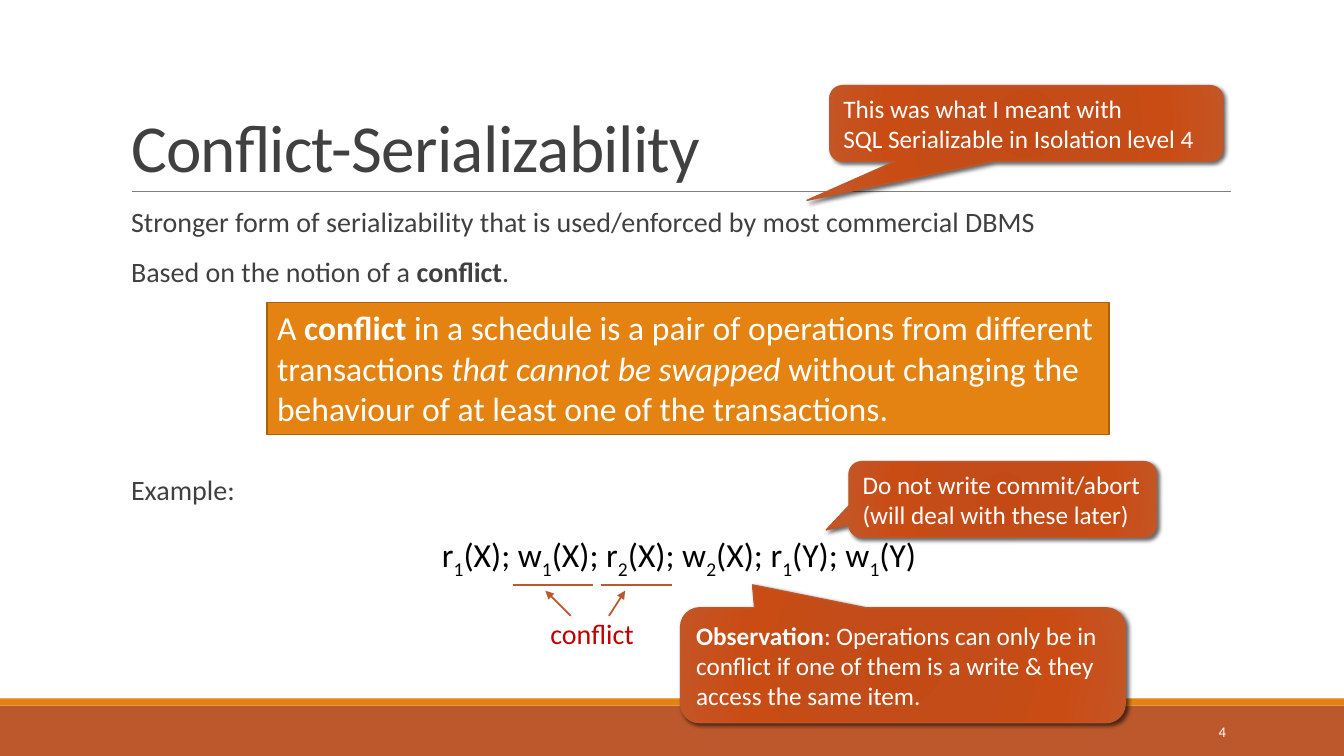
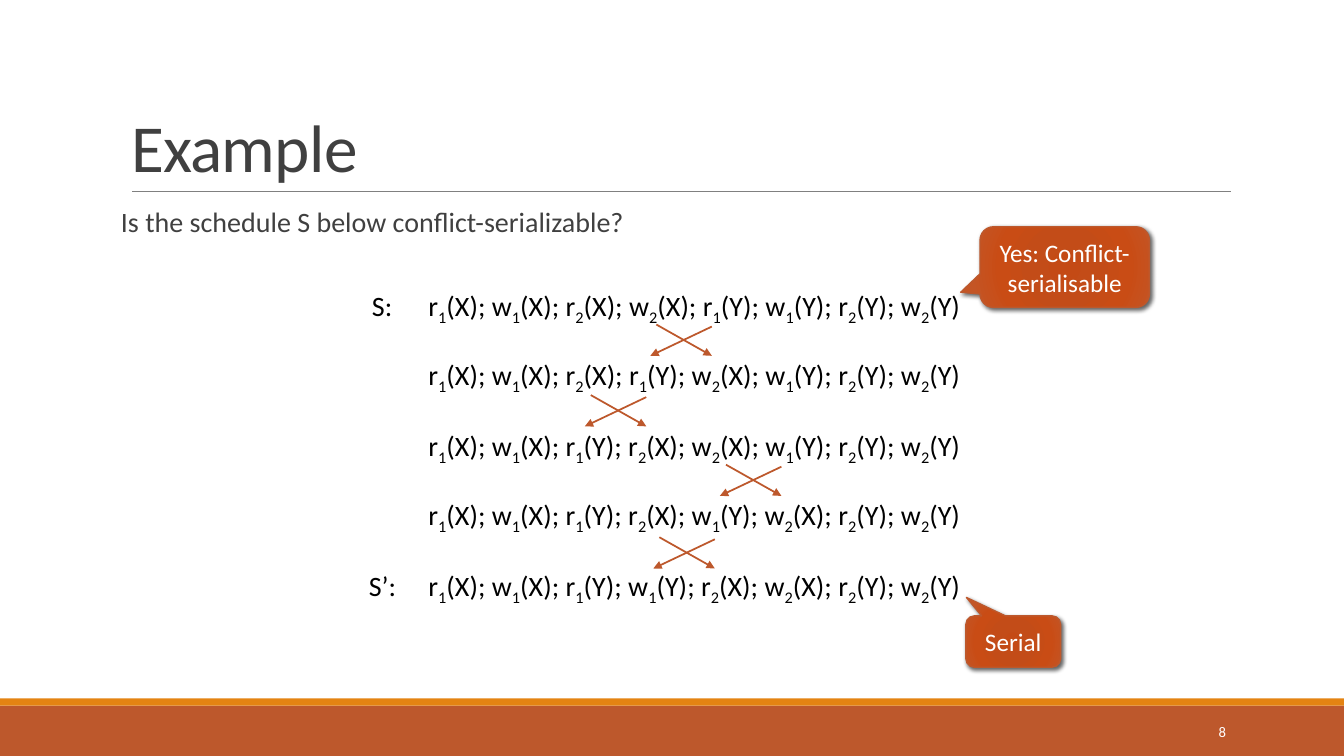
from dataclasses import dataclass
from itertools import groupby
from typing import NamedTuple

from lxml.etree import SubElement
from pptx import Presentation
from pptx.dml.color import RGBColor
from pptx.enum.shapes import MSO_CONNECTOR, MSO_SHAPE
from pptx.enum.text import MSO_ANCHOR, MSO_AUTO_SIZE, PP_ALIGN
from pptx.oxml import parse_xml
from pptx.oxml.ns import nsdecls, qn
from pptx.util import Emu, Pt

PX = 9144  # EMU in one px, 100 px to the inch


@dataclass(frozen=True)
class Theme:
    font: str = "Calibri"
    rust: str = "BD582C"
    orange: str = "E48312"
    orange_edge: str = "A9610D"
    rule: str = "808080"
    ink: str = "404040"
    black: str = "000000"
    white: str = "FFFFFF"
    red: str = "C00000"
    gradient: tuple[tuple[int, str], ...] = (
        (0, "C44A15"), (34, "C34C18"), (70, "C94C15"), (100, "C45525"))
    title: float = 48
    large: float = 24
    body: float = 20
    callout: float = 18
    number: float = 10.5


THEME = Theme()


class Box(NamedTuple):
    left: int
    top: int
    width: int
    height: int


class Span(NamedTuple):
    text: str
    bold: bool = False
    italic: bool = False


class Line(NamedTuple):
    spans: tuple[Span, ...]
    indent: int = 0
    before: int = 0


class Callout(NamedTuple):
    box: Box
    tip: tuple[float, float]
    spans: tuple[Span, ...]
    align: PP_ALIGN = PP_ALIGN.LEFT


BREAK = Span("\n")
SLIDE = Box(0, 0, 1333, 750)
TITLE = Box(120, 31, 1100, 159)
BODY = Box(120, 202, 1100, 440)
NUMBER = Box(1083, 706, 143, 40)


# Text and shape helpers
def emu(*lengths: int) -> list[Emu]:
    return [Emu(length * PX) for length in lengths]


def rgb(color: str) -> RGBColor:
    return RGBColor.from_string(color)


def set_font(paragraph, size: float, color: str) -> None:
    paragraph.font.name = THEME.font
    paragraph.font.size = Pt(size)
    paragraph.font.color.rgb = rgb(color)


def add_spans(paragraph, spans: tuple[Span, ...]) -> None:
    for span in spans:
        if span == BREAK:
            paragraph.add_line_break()
            continue
        run = paragraph.add_run()
        run.text = span.text
        if span.bold:
            run.font.bold = True
        if span.italic:
            run.font.italic = True


def fill_frame(shape, spans: tuple[Span, ...], size: float, color: str,
               align: PP_ALIGN, anchor: MSO_ANCHOR, wrap: bool = True):
    frame = shape.text_frame
    frame.word_wrap = wrap
    frame.auto_size = MSO_AUTO_SIZE.NONE
    frame.vertical_anchor = anchor
    paragraph = frame.paragraphs[0]
    paragraph.alignment = align
    set_font(paragraph, size, color)
    add_spans(paragraph, spans)
    return paragraph


def add_label(page, box: Box, text: str, size: float, color: str = THEME.black,
              align: PP_ALIGN = PP_ALIGN.LEFT) -> None:
    shape = page.shapes.add_textbox(*emu(*box))
    fill_frame(shape, (Span(text),), size, color, align, MSO_ANCHOR.TOP, wrap=False)


def add_panel(page, box: Box, fill: str, edge: str = ""):
    shape = page.shapes.add_shape(MSO_SHAPE.RECTANGLE, *emu(*box))
    shape.shadow.inherit = False
    shape.fill.solid()
    shape.fill.fore_color.rgb = rgb(fill)
    if edge:
        shape.line.color.rgb = rgb(edge)
        shape.line.width = Pt(1.25)
    else:
        shape.line.fill.background()
    return shape


def add_line(page, start: tuple[int, int], end: tuple[int, int], color: str = THEME.rust,
             width: float = 1.25, arrow: bool = False) -> None:
    line = page.shapes.add_connector(MSO_CONNECTOR.STRAIGHT, *emu(*start, *end))
    line.line.color.rgb = rgb(color)
    line.line.width = Pt(width)
    properties = line.element.spPr
    if arrow:
        SubElement(properties.find(qn("a:ln")), qn("a:tailEnd"), type="triangle")
    SubElement(properties, qn("a:effectLst"))


def add_callout(page, callout: Callout) -> None:
    shape = page.shapes.add_shape(MSO_SHAPE.ROUNDED_RECTANGULAR_CALLOUT, *emu(*callout.box))
    for index, value in enumerate((*callout.tip, 0.167)):
        shape.adjustments[index] = value
    shape.line.color.rgb = rgb(THEME.rust)
    shape.line.width = Pt(1)
    # Circular gradient
    shape.fill.background()
    properties = shape.element.spPr
    stops = "".join(f'<a:gs pos="{place * 1000}"><a:srgbClr val="{color}"/></a:gs>'
                    for place, color in THEME.gradient)
    gradient = parse_xml(
        f'<a:gradFill {nsdecls("a")} rotWithShape="1"><a:gsLst>{stops}</a:gsLst>'
        '<a:path path="circle"><a:fillToRect l="100000" t="100000" r="100000" b="100000"/>'
        '</a:path></a:gradFill>')
    properties.replace(properties.find(qn("a:noFill")), gradient)
    # Soft shadow
    shape.shadow.inherit = False
    properties.find(qn("a:effectLst")).append(parse_xml(
        f'<a:outerShdw {nsdecls("a")} blurRad="{Pt(3)}" dist="{Pt(2)}" dir="2700000" '
        f'algn="tl" rotWithShape="0"><a:srgbClr val="{THEME.black}"><a:alpha val="60000"/>'
        '</a:srgbClr></a:outerShdw>'))
    fill_frame(shape, callout.spans, THEME.callout, THEME.white, callout.align,
               MSO_ANCHOR.MIDDLE)


def add_schedule(page, box: Box, schedule: str, size: float) -> None:
    """Write a schedule with its transaction numbers as subscripts."""
    shape = page.shapes.add_textbox(*emu(*box))
    paragraph = fill_frame(shape, (), size, THEME.black, PP_ALIGN.CENTER,
                           MSO_ANCHOR.TOP, wrap=False)
    for is_number, characters in groupby(schedule, str.isdigit):
        run = paragraph.add_run()
        run.text = "".join(characters)
        if is_number:
            run.font._element.set("baseline", "-25000")


def add_body(page, lines: tuple[Line, ...]) -> None:
    frame = page.shapes.add_textbox(*emu(*BODY)).text_frame
    frame.word_wrap = True
    frame.margin_left = frame.margin_right = 0
    for index, line in enumerate(lines):
        paragraph = frame.add_paragraph() if index else frame.paragraphs[0]
        paragraph.line_spacing = 0.9
        paragraph.space_before = Pt(line.before)
        paragraph.space_after = Pt(2)
        paragraph._p.get_or_add_pPr().set("marL", str(line.indent * PX))
        set_font(paragraph, THEME.body, THEME.ink)
        add_spans(paragraph, line.spans)


def add_page(deck, title: str, number: int):
    """Add a page with the shared bands, title, rule and number."""
    page = deck.slides.add_slide(deck.slide_layouts[5])
    add_panel(page, Box(0, 700, SLIDE.width, 50), THEME.rust)
    add_panel(page, Box(0, 693, SLIDE.width, 7), THEME.orange)
    add_line(page, (131, 190), (1221, 190), THEME.rule, 0.5)
    heading = page.shapes.title
    heading.left, heading.top, heading.width, heading.height = emu(*TITLE)
    paragraph = fill_frame(heading, (Span(title),), THEME.title, THEME.ink,
                           PP_ALIGN.LEFT, MSO_ANCHOR.BOTTOM)
    paragraph.line_spacing = 0.85
    paragraph.runs[0].font._element.set("spc", "-50")
    shape = page.shapes.add_textbox(*emu(*NUMBER))
    fill_frame(shape, (Span(str(number)),), THEME.number, THEME.white,
               PP_ALIGN.RIGHT, MSO_ANCHOR.MIDDLE)
    return page


# Pages
def add_conflict_page(deck) -> None:
    page = add_page(deck, "Conflict-Serializability", 4)
    add_body(page, (
        Line((Span("Stronger form of serializability that is used/enforced by "
                   "most commercial DBMS"),), 10),
        Line((Span("Based on the notion of a "), Span("conflict", bold=True), Span(".")),
             10, 12),
        Line((Span("Example:"),), 10, 132),
    ))
    definition = add_panel(page, Box(265, 300, 835, 131), THEME.orange, THEME.orange_edge)
    fill_frame(definition, (
        Span("A "), Span("conflict", bold=True),
        Span(" in a schedule is a pair of operations from different transactions "),
        Span("that cannot be swapped ", italic=True),
        Span("without changing the behaviour of at least one of the transactions."),
    ), THEME.large, THEME.white, PP_ALIGN.LEFT, MSO_ANCHOR.TOP)

    # Schedule with its conflicting pair
    add_schedule(page, Box(423, 525, 501, 50),
                 "r1(X); w1(X); r2(X); w2(X); r1(Y); w1(Y)", THEME.large)
    add_label(page, Box(536, 607, 104, 44), "conflict", THEME.body, THEME.red)
    for start, end in ((566, 541), (604, 620)):
        add_line(page, (start, 611), (end, 586), arrow=True)
    for left, right in ((509, 588), (596, 667)):
        add_line(page, (left, 580), (right, 580))

    for callout in (
        Callout(Box(675, 603, 441, 114), (-0.338, -0.699), (
            Span("Observation", bold=True),
            Span(": Operations can only be in conflict if one of them is a write "
                 "& they access the same item."))),
        Callout(Box(842, 458, 305, 75), (-0.574, 0.403), (
            Span("Do not write commit/abort"), BREAK,
            Span("(will deal with these later)"))),
        Callout(Box(823, 85, 390, 75), (-0.558, 1.017), (
            Span("This was what I meant with"), BREAK,
            Span("SQL Serializable in Isolation level 4"))),
    ):
        add_callout(page, callout)


def add_example_page(deck) -> None:
    page = add_page(deck, "Example", 8)
    add_body(page, (Line((Span("Is the schedule S below conflict-serializable?"),)),))

    # Schedules, one swap apart
    schedules = (
        "r1(X); w1(X); r2(X); w2(X); r1(Y); w1(Y); r2(Y); w2(Y)",
        "r1(X); w1(X); r2(X); r1(Y); w2(X); w1(Y); r2(Y); w2(Y)",
        "r1(X); w1(X); r1(Y); r2(X); w2(X); w1(Y); r2(Y); w2(Y)",
        "r1(X); w1(X); r1(Y); r2(X); w1(Y); w2(X); r2(Y); w2(Y)",
        "r1(X); w1(X); r1(Y); w1(Y); r2(X); w2(X); r2(Y); w2(Y)",
    )
    tops = [281 + row * 139 // 2 for row in range(len(schedules))]
    for top, schedule in zip(tops, schedules):
        add_schedule(page, Box(409, top, 559, 44), schedule, THEME.body)
    add_label(page, Box(359, tops[0], 41, 44), "S:", THEME.body)
    add_label(page, Box(356, tops[-1], 48, 44), "S’:", THEME.body)

    # Crossed arrows for each swap
    for left, top in ((651, 322), (586, 392), (720, 461), (654, 533)):
        add_line(page, (left, top), (left + 55, top + 31), arrow=True)
        add_line(page, (left + 55, top + 2), (left - 6, top + 31), arrow=True)

    for callout in (
        Callout(Box(958, 611, 94, 51), (-0.493, -0.858), (Span("Serial"),),
                PP_ALIGN.CENTER),
        Callout(Box(972, 225, 168, 80), (-0.614, 0.312),
                (Span("Yes: Conflict-serialisable"),), PP_ALIGN.CENTER),
    ):
        add_callout(page, callout)


def main() -> None:
    deck = Presentation()
    deck.slide_width, deck.slide_height = emu(SLIDE.width, SLIDE.height)
    add_conflict_page(deck)
    add_example_page(deck)
    deck.save("out.pptx")


if __name__ == "__main__":
    main()
